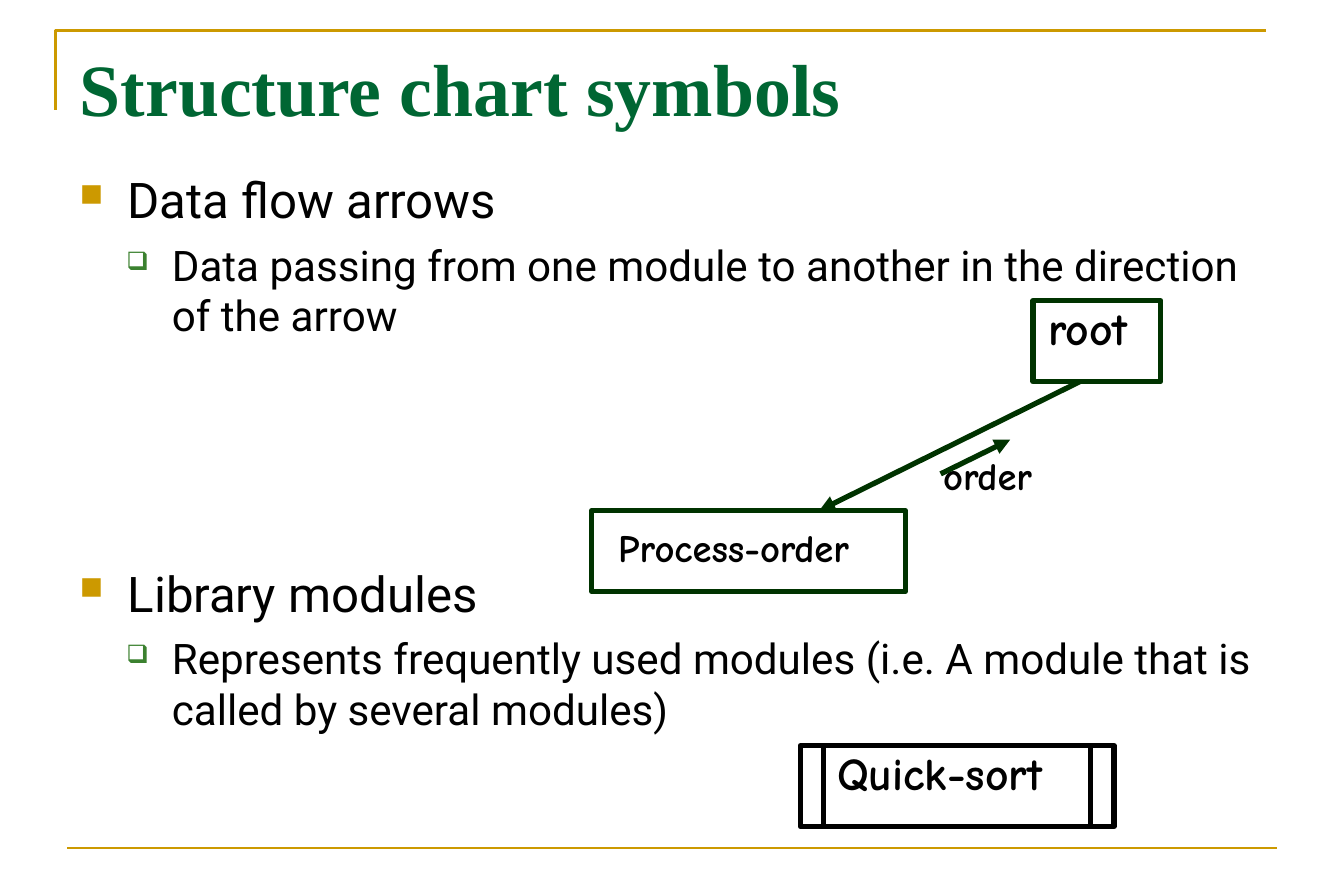
from dataclasses import dataclass

from lxml.etree import SubElement
from pptx import Presentation
from pptx.dml.color import RGBColor
from pptx.enum.shapes import MSO_CONNECTOR as Connector, MSO_SHAPE as Preset
from pptx.enum.text import MSO_ANCHOR as Anchor, MSO_AUTO_SIZE as AutoSize, PP_ALIGN as Align
from pptx.oxml.ns import qn
from pptx.util import Inches, Pt


@dataclass(frozen=True)
class Theme:
    gold: str = "CC9900"
    heading: str = "006633"
    leaf: str = "3B812F"
    forest: str = "003300"
    black: str = "000000"
    title_font: str = "Times New Roman"
    body_font: str = "Roboto"
    label_font: str = "Comic Neue"
    title_size: float = 42
    topic_size: float = 28
    detail_size: float = 24
    module_size: float = 26
    flow_size: float = 22
    rule: float = 1.5
    stroke: float = 3


@dataclass(frozen=True)
class Area:
    """Left, top, width and height in percent of the slide."""
    left: float
    top: float
    width: float
    height: float


@dataclass(frozen=True)
class Module:
    area: Area
    color: str


@dataclass(frozen=True)
class Label:
    text: str
    area: Area
    size: float


@dataclass(frozen=True)
class Line:
    """End points in percent of the slide."""
    start: tuple[float, float]
    end: tuple[float, float]
    color: str
    width: float
    arrow: bool = False


@dataclass(frozen=True)
class Level:
    mark: str
    mark_color: str
    mark_share: int
    margin: float
    hanging: float
    size: float


@dataclass(frozen=True)
class Point:
    text: str
    level: Level
    before: float


THEME = Theme()
WIDTH, HEIGHT = Inches(10.63), Inches(7.09)

# Bulleted text; the third point leaves room for the diagram above it
TOPIC = Level("■", THEME.gold, 65, 0.38, 0.38, THEME.topic_size)
DETAIL = Level("❑", THEME.leaf, 60, 0.73, 0.36, THEME.detail_size)
POINTS = [
    Point("Data flow arrows", TOPIC, 0),
    Point("Data passing from one module to another in the direction of the arrow", DETAIL, 6),
    Point("Library modules", TOPIC, 127),
    Point("Represents frequently used modules (i.e. A module that is called by several modules)",
          DETAIL, 6),
]

# Diagram parts
ROOT = Module(Area(76.86, 33.57, 9.5, 9.03), THEME.forest)
PROCESS = Module(Area(44.03, 56.98, 23.33, 9.03), THEME.forest)
LIBRARY = Module(Area(59.55, 83.22, 23.33, 9.03), THEME.black)
BAR_INSET = 1.74
LABELS = [
    Label("Process-order", Area(45.81, 58.39, 21.64, 6.77), THEME.flow_size),
    Label("root", Area(77.8, 33.57, 12.89, 7.76), THEME.module_size),
    Label("order", Area(69.99, 50.35, 21.54, 6.77), THEME.flow_size),
    Label("Quick-sort", Area(62.09, 83.22, 21.64, 7.76), THEME.module_size),
]


def across(share: float) -> int:
    return round(WIDTH * share / 100)


def down(share: float) -> int:
    return round(HEIGHT * share / 100)


def place(area: Area) -> tuple[int, int, int, int]:
    return across(area.left), down(area.top), across(area.width), down(area.height)


def write(para, text: str, *, font: str, size: float, color: str, bold: bool = False) -> None:
    span = para.add_run()
    span.text = text
    span.font.name = font
    span.font.size = Pt(size)
    span.font.color.rgb = RGBColor.from_string(color)
    span.font.bold = bold


def add_bullet(para, level: Level) -> None:
    properties = para._p.get_or_add_pPr()
    properties.set("marL", str(Inches(level.margin)))
    properties.set("indent", str(-Inches(level.hanging)))
    color = SubElement(properties, qn("a:buClr"))
    SubElement(color, qn("a:srgbClr"), val=level.mark_color)
    SubElement(properties, qn("a:buSzPct"), val=str(level.mark_share * 1000))
    SubElement(properties, qn("a:buChar"), char=level.mark)


def outline(shape, color: str, width: float) -> None:
    shape.line.color.rgb = RGBColor.from_string(color)
    shape.line.width = Pt(width)


def add_line(page, line: Line) -> None:
    (x1, y1), (x2, y2) = line.start, line.end
    connector = page.shapes.add_connector(
        Connector.STRAIGHT, across(x1), down(y1), across(x2), down(y2))
    outline(connector, line.color, line.width)
    if line.arrow:
        SubElement(connector.line._get_or_add_ln(), qn("a:tailEnd"), type="triangle")
    SubElement(connector._element.spPr, qn("a:effectLst"))


def add_frame(page) -> None:
    builder = page.shapes.build_freeform(across(4.14), down(12.27))
    builder.add_line_segments(
        [(across(4.14), down(3.39)), (across(94.17), down(3.39))], close=False)
    corner = builder.convert_to_shape()
    corner.shadow.inherit = False
    corner.fill.background()
    outline(corner, THEME.gold, THEME.rule)
    add_line(page, Line((5, 94.64), (95, 94.64), THEME.gold, THEME.rule))


def add_title(page, text: str) -> None:
    title = page.shapes.title
    title.left, title.top, title.width, title.height = place(Area(5, 4.09, 90, 9.45))
    frame = title.text_frame
    frame.auto_size = AutoSize.NONE
    frame.vertical_anchor = Anchor.TOP
    para = frame.paragraphs[0]
    para.alignment = Align.LEFT
    write(para, text, font=THEME.title_font, size=THEME.title_size,
          color=THEME.heading, bold=True)


def add_points(page, points: list[Point]) -> None:
    frame = page.shapes.add_textbox(*place(Area(5, 18.2, 90, 74.05))).text_frame
    frame.word_wrap = True
    for index, point in enumerate(points):
        para = frame.add_paragraph() if index else frame.paragraphs[0]
        add_bullet(para, point.level)
        para.space_before = Pt(point.before)
        write(para, point.text, font=THEME.body_font, size=point.level.size, color=THEME.black)


def add_module(page, module: Module) -> None:
    box = page.shapes.add_shape(Preset.ROUNDED_RECTANGLE, *place(module.area))
    box.adjustments[0] = 0
    box.shadow.inherit = False
    box.fill.background()
    outline(box, module.color, THEME.stroke)


def add_label(page, label: Label) -> None:
    frame = page.shapes.add_textbox(*place(label.area)).text_frame
    frame.word_wrap = True
    frame.margin_left = frame.margin_right = Inches(0.02)
    frame.margin_top = frame.margin_bottom = Inches(0.06)
    para = frame.paragraphs[0]
    para.line_spacing = 0.85
    write(para, label.text, font=THEME.label_font, size=label.size,
          color=THEME.black, bold=True)


def main() -> None:
    deck = Presentation()
    deck.slide_width, deck.slide_height = WIDTH, HEIGHT
    page = deck.slides.add_slide(deck.slide_layouts[5])

    # Frame and text
    add_frame(page)
    add_title(page, "Structure chart symbols")
    add_points(page, POINTS)

    # Modules and their labels
    for module in (ROOT, PROCESS, LIBRARY):
        add_module(page, module)
    for label in LABELS:
        add_label(page, label)

    # Call and data flow arrows
    for start, end in (((80.34, 42.6), (60.96, 56.98)), ((69.99, 52.89), (75.16, 49.08))):
        add_line(page, Line(start, end, THEME.forest, THEME.stroke, arrow=True))

    # Side bars of the library module
    area = LIBRARY.area
    for x in (area.left + BAR_INSET, area.left + area.width - BAR_INSET):
        add_line(page, Line((x, area.top), (x, area.top + area.height),
                            THEME.black, THEME.stroke))

    deck.save("out.pptx")


if __name__ == "__main__":
    main()
